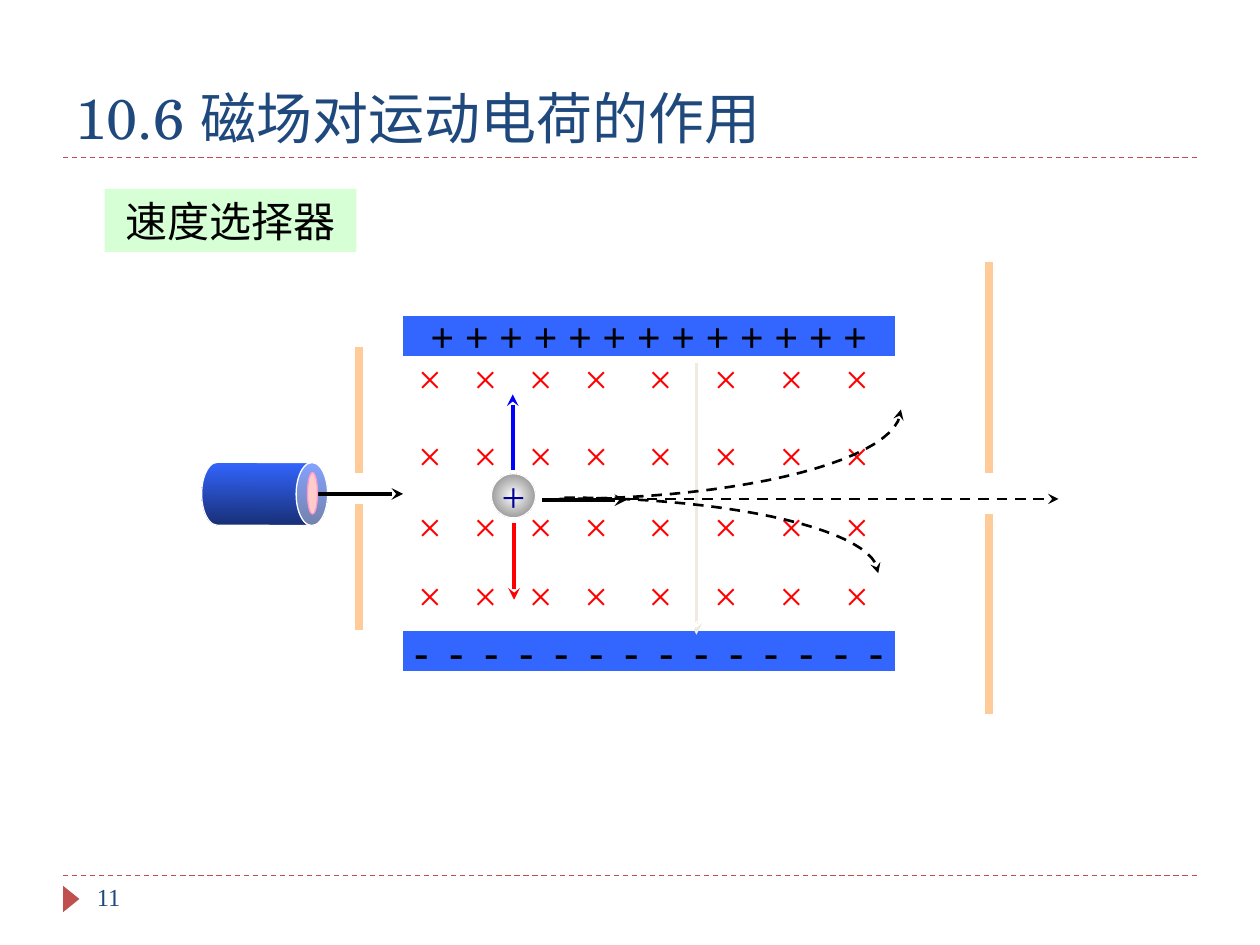
from lxml import etree
from pptx import Presentation
from pptx.dml.color import RGBColor
from pptx.enum.dml import MSO_LINE as Dash
from pptx.enum.shapes import MSO_CONNECTOR as Conn, MSO_SHAPE as Kind
from pptx.enum.text import MSO_ANCHOR as Anchor, PP_ALIGN as Align
from pptx.oxml.ns import qn
from pptx.util import Inches, Pt

BLACK = RGBColor(0, 0, 0)
WHITE = RGBColor(255, 255, 255)
NAVY = RGBColor(0x1F, 0x49, 0x7D)
BRICK = RGBColor(0xC0, 0x50, 0x4D)
MINT = RGBColor(0xCC, 0xFF, 0xCC)
PEACH = RGBColor(0xFF, 0xCC, 0x99)
ROYAL = RGBColor(0x33, 0x66, 0xFF)
DEEP = RGBColor(0x18, 0x2F, 0x76)
GREY = RGBColor(0x75, 0x75, 0x75)
INK = RGBColor(0, 0, 0x99)
RED = RGBColor(255, 0, 0)
BLUE = RGBColor(0, 0, 255)
PINK = RGBColor(0xFF, 0xCC, 0xCC)
ROSE = RGBColor(0xFF, 0x99, 0xCC)
SERIF = "Times New Roman"

# Content
TITLE = "10.6 磁场对运动电荷的作用"
LABEL = "速度选择器"
NUMBER = "11"
RULES = [1.25, 6.95]
ROWS = [2.75, 3.36, 3.92, 4.47]
CROSS_TABS = [0.44 * i for i in range(1, 4)] + [1.31 + 0.52 * i for i in range(1, 5)]
MINUS_TABS = [3.61 / 13 * i for i in range(1, 14)]
WALLS = [(2.85, 2.75, 3.75), (2.85, 4, 5), (7.85, 2.08, 3.75), (7.85, 4.08, 5.67)]
PATHS = [(4.48, 3.95, 2.49, 0.6), (4.44, 3.96, 2.71, -0.71)]  # start, width, rise
FORCES = [(4.07, 3.73, 4.07, 3.13, BLUE), (4.08, 4.15, 4.08, 4.76, RED)]

prs = Presentation()
prs.slide_width, prs.slide_height = Inches(10), Inches(7.5)
slide = prs.slides.add_slide(prs.slide_layouts[5])
shapes = slide.shapes


def place(shape, *box):
    shape.left, shape.top, shape.width, shape.height = map(Inches, box)


def write(shape, text, size, color, font=SERIF, bold=False, align=Align.LEFT,
          anchor=Anchor.TOP, wrap=True, tabs=()):
    frame = shape.text_frame
    frame.word_wrap, frame.vertical_anchor = wrap, anchor
    par = frame.paragraphs[0]
    par.alignment = align
    if tabs:
        stops = etree.SubElement(par._p.get_or_add_pPr(), qn("a:tabLst"))
        for pos in tabs:
            etree.SubElement(stops, qn("a:tab"), pos=str(Inches(pos)), algn="l")
    run = par.add_run()
    run.text = text
    run.font.size, run.font.name, run.font.bold = Pt(size), font, bold
    run.font.color.rgb = color


def block(kind, box, fill=None, edge=None):
    shape = shapes.add_shape(kind, *map(Inches, box))
    shape.shadow.inherit = False
    if fill:
        shape.fill.solid()
        shape.fill.fore_color.rgb = fill
    if edge:
        shape.line.color.rgb = edge
        shape.line.width = Pt(0.75)
    else:
        shape.line.fill.background()
    return shape


def fade(shape, first, last):
    shape.fill.gradient()
    shape.fill.gradient_angle = 0
    for stop, color in zip(shape.fill.gradient_stops, (first, last)):
        stop.color.rgb = color


def stroke(shape, color, width, dash=False, arrow=False):
    shape.line.color.rgb = color
    shape.line.width = Pt(width)
    if dash:
        shape.line.dash_style = Dash.DASH
    if arrow:
        etree.SubElement(shape.line._get_or_add_ln(), qn("a:tailEnd"), type="stealth")


def line(x1, y1, x2, y2, color, width, **style):
    shape = shapes.add_connector(Conn.STRAIGHT, *map(Inches, (x1, y1, x2, y2)))
    stroke(shape, color, width, **style)
    return etree.SubElement(shape._element.spPr, qn("a:effectLst"))


def curve(x, y, width, rise, steps=24):
    # Bezier whose handles lie on the start tangent and above the end
    points = []
    for i in range(steps + 1):
        t = i / steps
        u = 1 - t
        across = 3 * u * u * t * 0.55 + 3 * u * t * t + t ** 3
        along = 3 * u * t * t * 0.45 + t ** 3
        points.append((Inches(x + width * across), Inches(y + rise * along)))
    path = shapes.build_freeform(*points[0])
    path.add_line_segments(points[1:], close=False)
    shape = path.convert_to_shape()
    shape.shadow.inherit = False
    shape.fill.background()
    stroke(shape, BLACK, 1.5, dash=True, arrow=True)


# Title, rules and page number
place(shapes.title, 0.5, 0.25, 9, 1)
write(shapes.title, TITLE, 32, NAVY, "TeX Gyre Schola", anchor=Anchor.BOTTOM)
for y in RULES:
    line(0.5, y, 9.5, y, BRICK, 0.75, dash=True)
block(Kind.ISOSCELES_TRIANGLE, (0.46, 7.07, 0.21, 0.13), BRICK).rotation = 90
page = shapes.add_textbox(*map(Inches, (0.67, 6.95, 2.17, 0.4)))
write(page, NUMBER, 14, NAVY)

# Label
label = block(Kind.RECTANGLE, (0.83, 1.5, 2, 0.5), MINT)
tint = label._element.spPr.find(".//" + qn("a:srgbClr"))
etree.SubElement(tint, qn("a:alpha"), val="80000")
write(label, LABEL, 24, BLACK, "Arial", align=Align.CENTER, anchor=Anchor.MIDDLE, wrap=False)

# Magnetic field
for y in ROWS:
    row = shapes.add_textbox(*map(Inches, (3.22, y, 4.04, 0.5)))
    write(row, "\t".join("×" * 8), 24, RED, tabs=CROSS_TABS)

# Walls with slits
for x, top, end in WALLS:
    line(x, top, x, end, PEACH, 4.5)

# Charged plates
upper = block(Kind.RECTANGLE, (3.19, 2.5, 3.92, 0.33), ROYAL, WHITE)
write(upper, " ".join("+" * 13), 24, BLACK, bold=True, align=Align.CENTER,
      anchor=Anchor.MIDDLE, wrap=False)
lower = block(Kind.RECTANGLE, (3.19, 5, 3.92, 0.33), ROYAL, WHITE)
lower.text_frame.margin_right = 0
write(lower, "\t".join("-" * 14), 24, BLACK, bold=True, anchor=Anchor.MIDDLE, tabs=MINUS_TABS)

# Particle source
can = block(Kind.CAN, (1.85, 3.42, 0.5, 1), edge=WHITE)
can.adjustments[0] = 0.5
can.rotation = 90.2
fade(can, ROYAL, DEEP)
line(2.52, 3.92, 3.2, 3.92, BLACK, 2.25, arrow=True)
block(Kind.OVAL, (2.44, 3.75, 0.08, 0.33), PINK, ROSE)

# Electric field line, seen by its shadow
effect = line(5.5, 2.85, 5.5, 5.01, WHITE, 2.25, arrow=True)
shade = etree.SubElement(effect, qn("a:outerShdw"), dist=str(Pt(2.8)), dir="2700000",
                         algn="ctr", rotWithShape="0")
etree.SubElement(shade, qn("a:srgbClr"), val="EEECE1")

# Trajectories
line(4.55, 3.96, 8.4, 3.96, BLACK, 1.5, dash=True, arrow=True)
for path in PATHS:
    curve(*path)

# Forces, charge and velocity
for *ends, color in FORCES:
    line(*ends, color, 2.25, arrow=True)
ball = block(Kind.OVAL, (3.9, 3.76, 0.35, 0.35), edge=WHITE)
fade(ball, WHITE, GREY)
grad = ball._element.spPr.find(qn("a:gradFill"))
grad.remove(grad.find(qn("a:lin")))
glow = etree.SubElement(grad, qn("a:path"))
glow.set("path", "circle")
etree.SubElement(glow, qn("a:fillToRect"), l="50000", t="50000", r="50000", b="50000")
write(ball, "+", 24, INK, align=Align.CENTER, anchor=Anchor.MIDDLE, wrap=False)
line(4.3, 3.97, 4.97, 3.97, BLACK, 2.25, arrow=True)

prs.save("out.pptx")
